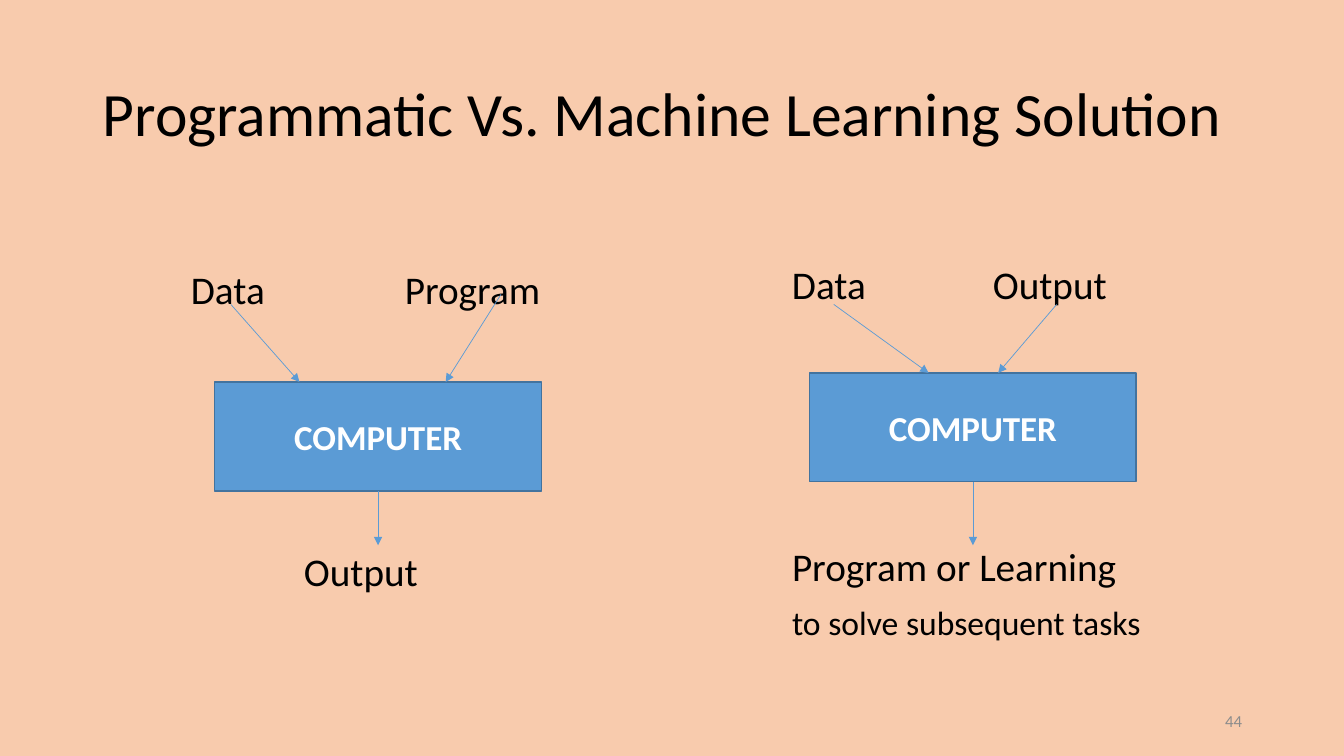
"""Build a slide that contrasts programmatic and machine learning solutions."""
from dataclasses import dataclass

from lxml import etree
from pptx import Presentation
from pptx import util as u
from pptx.dml.color import RGBColor
from pptx.enum import shapes, text
from pptx.oxml.ns import qn

PEACH = RGBColor(0xF8, 0xCB, 0xAD)
BLUE = RGBColor(0x5B, 0x9B, 0xD5)
DARK_BLUE = RGBColor(0x43, 0x73, 0x9E)
BLACK = RGBColor(0, 0, 0)
WHITE = RGBColor(255, 255, 255)
GRAY = RGBColor(0x8C, 0x8C, 0x8C)

FONT = "Calibri"
WIDTH, HEIGHT = u.Inches(13.33), u.Inches(7.5)
BOX_WIDTH, BOX_HEIGHT = 24.3, 14.4
OUTPUT_ARROW_END = 72.13


@dataclass(frozen=True)
class Label:
    """Text placed by its left edge and middle line, in percent of the slide."""
    words: str
    left: float
    middle: float
    width: float = 30
    size: float = 28
    color: RGBColor = BLACK
    align: text.PP_ALIGN = text.PP_ALIGN.LEFT


@dataclass(frozen=True)
class Arrow:
    """An input arrow that ends on the top edge of its computer."""
    start_x: float
    start_y: float
    end_x: float


@dataclass(frozen=True)
class Diagram:
    """A computer with its labels and input arrows."""
    left: float
    top: float
    labels: tuple[Label, ...]
    inputs: tuple[Arrow, ...]


PAGE_LABELS = (
    Label("Programmatic Vs. Machine Learning Solution", 7.65, 14.8, 85, 44),
    Label("44", 70.67, 95.33, 21.75, 12, GRAY, text.PP_ALIGN.RIGHT),
)
DIAGRAMS = (
    Diagram(
        15.98, 50.53,
        (Label("Data", 14.21, 38.2, 10),
         Label("Program", 30.13, 38.2, 14),
         Label("Output", 22.62, 75.5, 14)),
        (Arrow(17.18, 40.27, 22.28), Arrow(37.28, 38.93, 33.16)),
    ),
    Diagram(
        60.24, 49.33,
        (Label("Data", 58.93, 37.5, 10),
         Label("Output", 73.88, 37.5, 14),
         Label("Program or Learning", 58.93, 74.8),
         Label("to solve subsequent tasks", 58.93, 82.3, size=24)),
        (Arrow(62.04, 40.27, 69.09), Arrow(78.62, 40.27, 74.27)),
    ),
)


def across(percent: float) -> int:
    """Turn a share of the slide's width into a length."""
    return round(WIDTH * percent / 100)


def down(percent: float) -> int:
    """Turn a share of the slide's height into a length."""
    return round(HEIGHT * percent / 100)


def add_label(slide, label: Label) -> None:
    """Add one line of text without insets."""
    height = u.Pt(label.size * 1.25)
    box = slide.shapes.add_textbox(
        across(label.left), down(label.middle) - height // 2, across(label.width), height)
    frame = box.text_frame
    frame.word_wrap = True
    frame.margin_left = frame.margin_right = frame.margin_top = frame.margin_bottom = 0
    frame.vertical_anchor = text.MSO_ANCHOR.MIDDLE
    paragraph = frame.paragraphs[0]
    paragraph.text = label.words
    paragraph.alignment = label.align
    paragraph.font.name = FONT
    paragraph.font.size = u.Pt(label.size)
    paragraph.font.color.rgb = label.color


def add_computer(slide, diagram: Diagram):
    """Add the computer rectangle of a diagram."""
    computer = slide.shapes.add_shape(
        shapes.MSO_SHAPE.RECTANGLE, across(diagram.left), down(diagram.top),
        across(BOX_WIDTH), down(BOX_HEIGHT))
    computer.shadow.inherit = False
    computer.fill.solid()
    computer.fill.fore_color.rgb = BLUE
    computer.line.color.rgb = DARK_BLUE
    computer.line.width = u.Pt(1)
    computer.text_frame.vertical_anchor = text.MSO_ANCHOR.MIDDLE
    paragraph = computer.text_frame.paragraphs[0]
    paragraph.text = "COMPUTER"
    paragraph.alignment = text.PP_ALIGN.CENTER
    paragraph.font.name = FONT
    paragraph.font.size = u.Pt(25)
    paragraph.font.bold = True
    paragraph.font.color.rgb = WHITE
    return computer


def add_arrow(slide, start_x: float, start_y: float, end_x: float, end_y: float):
    """Add a thin straight arrow between two points."""
    arrow = slide.shapes.add_connector(
        shapes.MSO_CONNECTOR.STRAIGHT,
        across(start_x), down(start_y), across(end_x), down(end_y))
    arrow.line.color.rgb = BLUE
    arrow.line.width = u.Pt(0.5)
    properties = arrow.element.spPr
    etree.SubElement(properties.find(qn("a:ln")), qn("a:tailEnd"), type="triangle")
    etree.SubElement(properties, qn("a:effectLst"))
    return arrow


def add_diagram(slide, diagram: Diagram) -> None:
    """Add a computer, its labels and its arrows."""
    for label in diagram.labels:
        add_label(slide, label)
    computer = add_computer(slide, diagram)
    for entry in diagram.inputs:
        add_arrow(slide, entry.start_x, entry.start_y, entry.end_x, diagram.top)
    center = diagram.left + BOX_WIDTH / 2
    result = add_arrow(slide, center, diagram.top + BOX_HEIGHT, center, OUTPUT_ARROW_END)
    result.begin_connect(computer, 2)


def main() -> None:
    """Build and save the presentation."""
    presentation = Presentation()
    presentation.slide_width, presentation.slide_height = WIDTH, HEIGHT
    slide = presentation.slides.add_slide(presentation.slide_layouts[6])
    slide.background.fill.solid()
    slide.background.fill.fore_color.rgb = PEACH
    for label in PAGE_LABELS:
        add_label(slide, label)
    for diagram in DIAGRAMS:
        add_diagram(slide, diagram)
    presentation.save("out.pptx")


if __name__ == "__main__":
    main()
